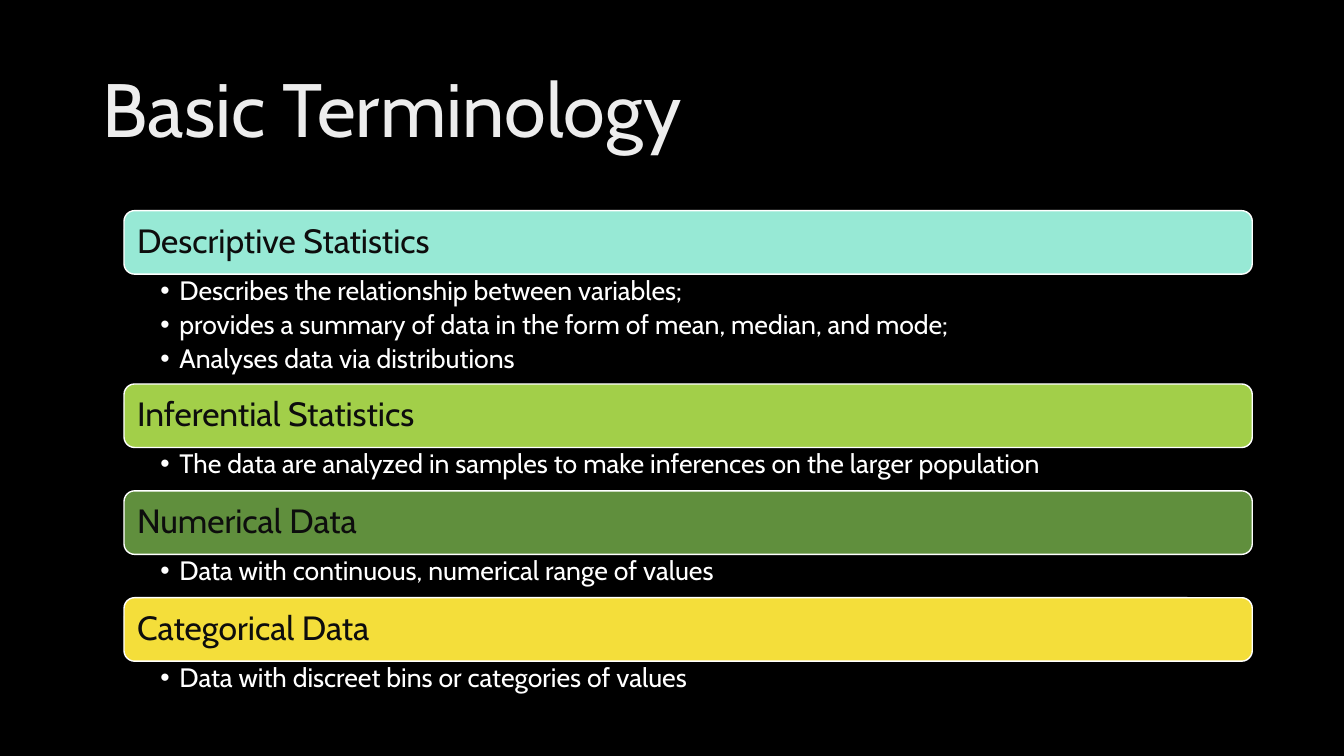
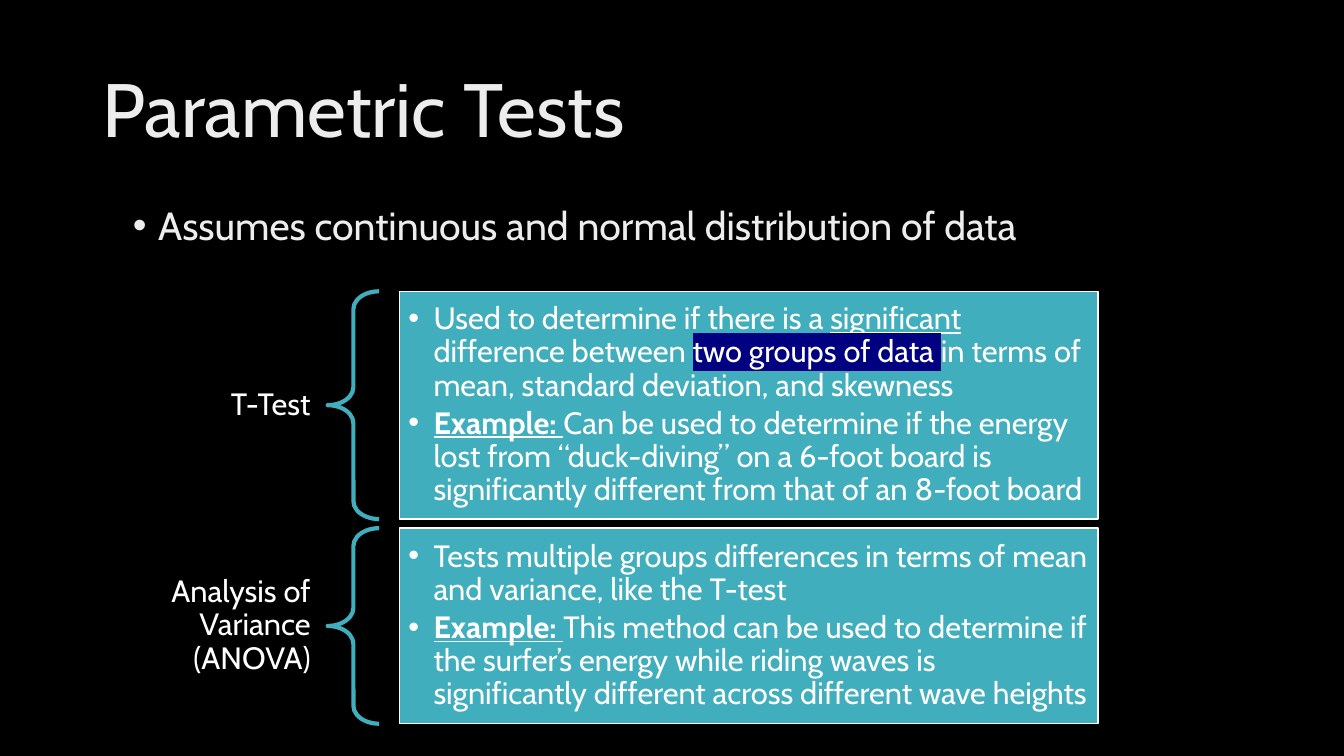
from lxml import etree
from pptx import Presentation
from pptx.dml.color import RGBColor
from pptx.enum.shapes import MSO_SHAPE
from pptx.enum.text import MSO_ANCHOR, PP_ALIGN
from pptx.oxml.ns import qn
from pptx.util import Inches, Pt

ROUNDED, RECTANGLE, BRACE = MSO_SHAPE.ROUNDED_RECTANGLE, MSO_SHAPE.RECTANGLE, MSO_SHAPE.LEFT_BRACE
TOP, MIDDLE = MSO_ANCHOR.TOP, MSO_ANCHOR.MIDDLE
LEFT, RIGHT = PP_ALIGN.LEFT, PP_ALIGN.RIGHT

BLACK = RGBColor(0x00, 0x00, 0x00)
WHITE = RGBColor(0xFF, 0xFF, 0xFF)
PALE = RGBColor(0xED, 0xED, 0xED)
INK = RGBColor(0x0D, 0x0D, 0x0D)
AQUA = RGBColor(0x97, 0xE9, 0xD5)
LIME = RGBColor(0xA2, 0xCF, 0x49)
GREEN = RGBColor(0x60, 0x8F, 0x3D)
YELLOW = RGBColor(0xF4, 0xDE, 0x3A)
TEAL = RGBColor(0x41, 0xAE, 0xBD)
NAVY = RGBColor(0x00, 0x00, 0x80)
FONT = "Cabin"

PLAIN = {}
UNDERLINED = {"underline": True}
LEAD = {"bold": True, "underline": True}
HIGHLIGHTED = {"highlight": NAVY}

TERMS_TITLE = "Basic Terminology"
TERMS = [
    ("Descriptive Statistics", AQUA, 1.09, [
        "Describes the relationship between variables;",
        "provides a summary of data in the form of mean, median, and mode;",
        "Analyses data via distributions",
    ]),
    ("Inferential Statistics", LIME, 0.43, [
        "The data are analyzed in samples to make inferences on the larger population",
    ]),
    ("Numerical Data", GREEN, 0.43, ["Data with continuous, numerical range of values"]),
    ("Categorical Data", YELLOW, 0.43, ["Data with discreet bins or categories of values"]),
]

TESTS_TITLE = "Parametric Tests"
ASSUMPTION = "Assumes continuous and normal distribution of data"
TESTS = [
    ("T-Test", 0.48, 2.26, [
        [
            ("Used to determine if there is a ", PLAIN),
            ("significant ", UNDERLINED),
            ("difference between ", PLAIN),
            ("two groups of data ", HIGHLIGHTED),
            ("in terms of mean, standard deviation, and skewness", PLAIN),
        ],
        [
            ("Example: ", LEAD),
            ("Can be used to determine if the energy lost from “duck-diving” on a 6-foot board "
             "is significantly different from that of an 8-foot board", PLAIN),
        ],
    ]),
    ("Analysis of Variance (ANOVA)", 1.13, 1.94, [
        "Tests multiple groups differences in terms of mean and variance, like the T-test",
        [
            ("Example: ", LEAD),
            ("This method can be used to determine if the surfer’s energy while riding waves is "
             "significantly different across different wave heights", PLAIN),
        ],
    ]),
]

TERM_LEFT, TERM_TOP, TERM_WIDTH, BAR_HEIGHT = 1.23, 2.09, 11.19, 0.63
TEST_TOP, TEST_GAP = 2.89, 0.09
LABEL_LEFT, LABEL_WIDTH = 0.7, 2.55
BRACE_LEFT, BRACE_WIDTH = LABEL_LEFT + LABEL_WIDTH, 0.51
PANEL_LEFT, PANEL_WIDTH = 3.96, 6.93


def add_run(paragraph, text, size, color, style):
    run = paragraph.add_run()
    run.text = text
    values = {"name": FONT, "size": Pt(size), **style}
    highlight = values.pop("highlight", None)
    for attribute, value in values.items():
        setattr(run.font, attribute, value)
    run.font.color.rgb = color
    if highlight is not None:
        mark = etree.Element(qn("a:highlight"))
        etree.SubElement(mark, qn("a:srgbClr")).set("val", str(highlight))
        run.font.fill
        run._r.rPr.find(qn("a:solidFill")).addnext(mark)


def write(shape, paragraphs, size, color, insets=(0.1, 0.05, 0.1, 0.05),
          anchor=MIDDLE, align=LEFT, bullet_indent=0, space_after=0):
    frame = shape.text_frame
    left, top, right, bottom = (Inches(inset) for inset in insets)
    layout = {"word_wrap": True, "vertical_anchor": anchor, "margin_left": left,
              "margin_top": top, "margin_right": right, "margin_bottom": bottom}
    for attribute, value in layout.items():
        setattr(frame, attribute, value)
    for index, content in enumerate(paragraphs):
        paragraph = frame.add_paragraph() if index else frame.paragraphs[0]
        spacing = {"alignment": align, "line_spacing": 0.9, "space_after": Pt(space_after)}
        for attribute, value in spacing.items():
            setattr(paragraph, attribute, value)
        if bullet_indent:
            properties = paragraph._p.get_or_add_pPr()
            properties.set("marL", str(Inches(bullet_indent)))
            properties.set("indent", str(-Inches(bullet_indent)))
            etree.SubElement(properties, qn("a:buFont")).set("typeface", "Arial")
            etree.SubElement(properties, qn("a:buChar")).set("char", "•")
        runs = [(content, PLAIN)] if isinstance(content, str) else content
        for text, style in runs:
            add_run(paragraph, text, size, color, style)


def add_box(slide, *place):
    return slide.shapes.add_textbox(*(Inches(length) for length in place))


def add_figure(slide, preset, place, fill, line, line_width):
    figure = slide.shapes.add_shape(preset, *(Inches(length) for length in place))
    figure.shadow.inherit = False
    if fill is None:
        figure.fill.background()
    else:
        figure.fill.solid()
        figure.fill.fore_color.rgb = fill
    figure.line.color.rgb = line
    figure.line.width = Pt(line_width)
    return figure


def add_titled_slide(deck, title):
    slide = deck.slides.add_slide(deck.slide_layouts[6])
    slide.background.fill.solid()
    slide.background.fill.fore_color.rgb = BLACK
    write(add_box(slide, 0.92, 0.4, 11.5, 1.45), [title], 54, PALE)
    return slide


def build_terms(deck):
    slide = add_titled_slide(deck, TERMS_TITLE)
    top = TERM_TOP
    for term, color, detail_height, details in TERMS:
        bar = add_figure(slide, ROUNDED, (TERM_LEFT, top, TERM_WIDTH, BAR_HEIGHT), color, WHITE, 1)
        write(bar, [term], 24, INK)
        top += BAR_HEIGHT
        write(add_box(slide, TERM_LEFT, top, TERM_WIDTH, detail_height), details, 19, WHITE,
              insets=(0.36, 0.03, 0.19, 0.03), anchor=TOP, bullet_indent=0.19, space_after=3.8)
        top += detail_height


def build_tests(deck):
    slide = add_titled_slide(deck, TESTS_TITLE)
    write(add_box(slide, 1.22, 2, 11.19, 0.6), [ASSUMPTION], 28, PALE,
          anchor=TOP, bullet_indent=0.25)
    top = TEST_TOP
    for test, label_height, height, details in TESTS:
        label_top = top + (height - label_height) / 2
        write(add_box(slide, LABEL_LEFT, label_top, LABEL_WIDTH, label_height), [test], 22, WHITE,
              insets=(0.17, 0.06, 0.17, 0.06), align=RIGHT)
        brace = add_figure(slide, BRACE, (BRACE_LEFT, top, BRACE_WIDTH, height), None, TEAL, 3)
        brace.adjustments[0] = 0.35
        panel = add_figure(slide, RECTANGLE, (PANEL_LEFT, top, PANEL_WIDTH, height), TEAL, WHITE, 1)
        write(panel, details, 22, WHITE, insets=(0.09,) * 4, bullet_indent=0.25, space_after=3.3)
        top += height + TEST_GAP


def main():
    deck = Presentation()
    deck.slide_width, deck.slide_height = Inches(13.33), Inches(7.5)
    build_terms(deck)
    build_tests(deck)
    deck.save("out.pptx")


if __name__ == "__main__":
    main()
